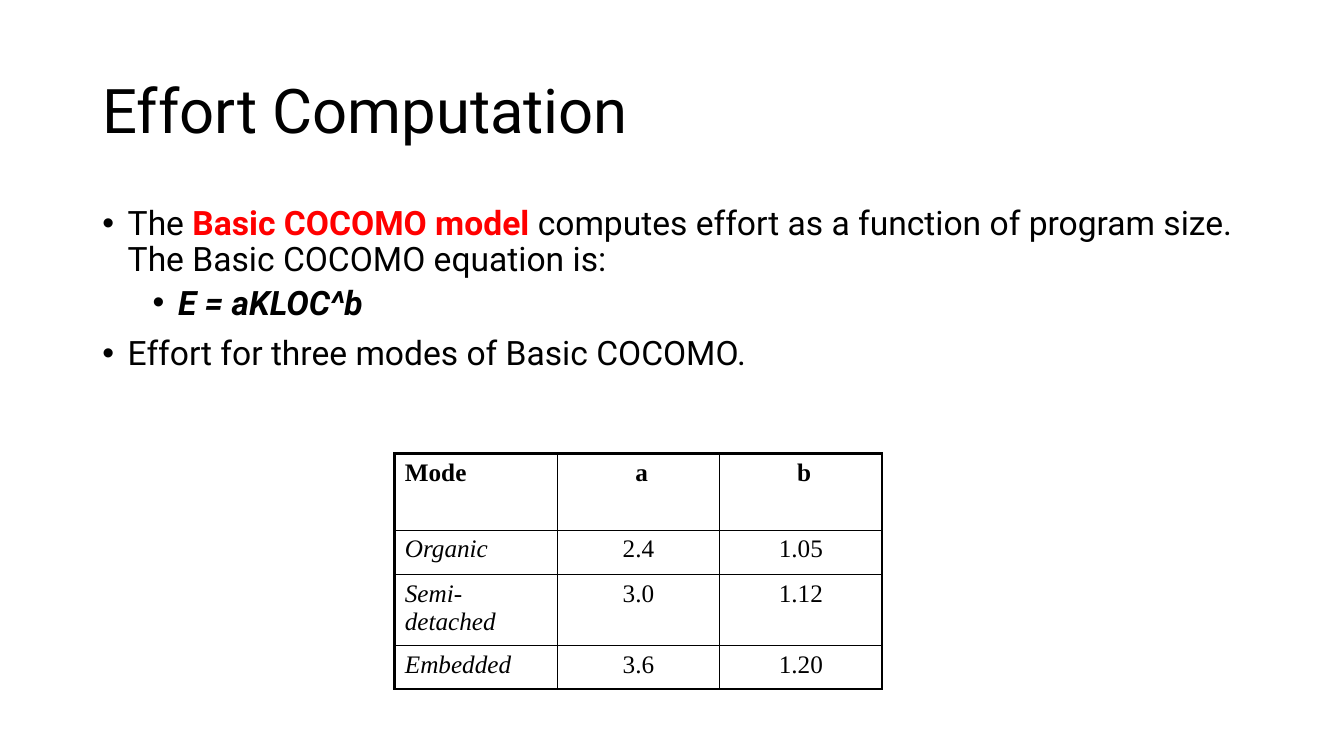
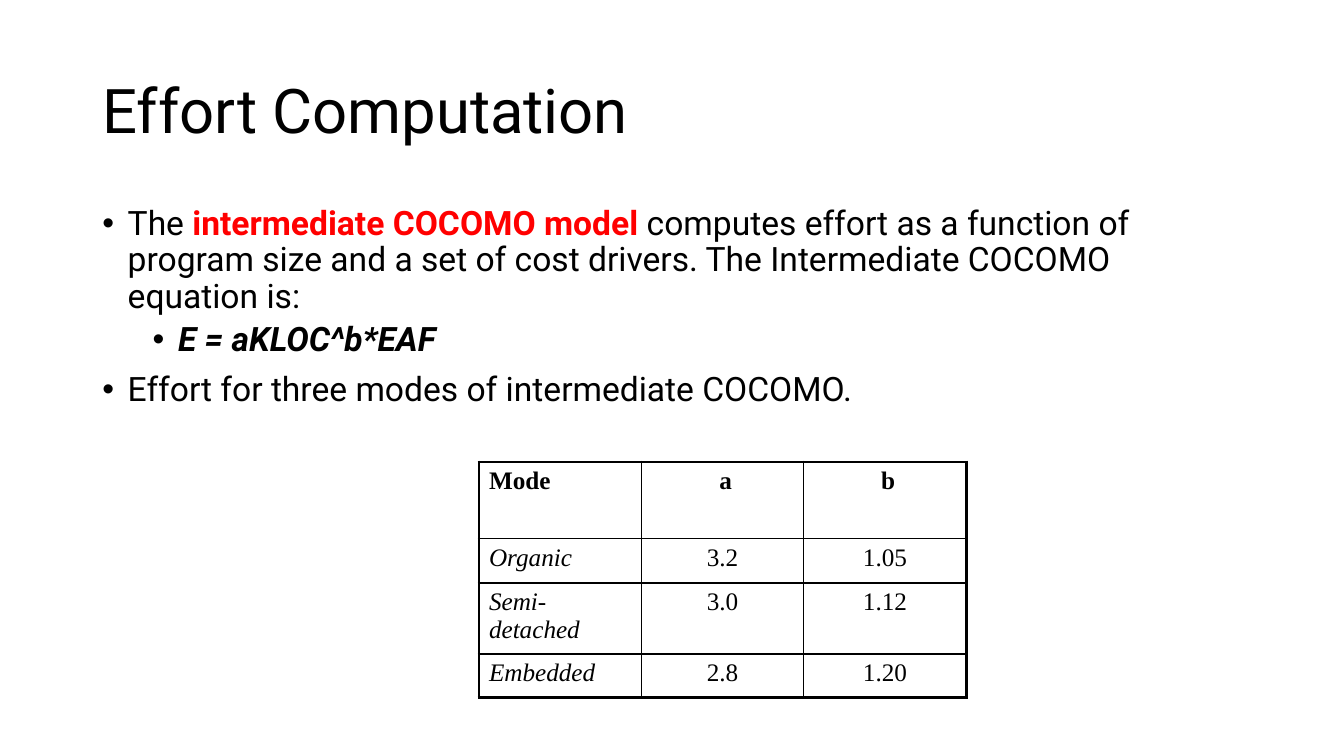
import dataclasses

import lxml.etree
import pptx
import pptx.dml.color
import pptx.enum.text
import pptx.oxml.ns
import pptx.util

Cm = pptx.util.Cm
Pt = pptx.util.Pt
qn = pptx.oxml.ns.qn
PP_ALIGN = pptx.enum.text.PP_ALIGN
MSO_ANCHOR = pptx.enum.text.MSO_ANCHOR


@dataclasses.dataclass(frozen=True)
class Theme:
    ink: str = "000000"
    accent: str = "FF0000"
    font: str = "Roboto"
    table_font: str = "Times New Roman"
    title_size: int = 44
    body_size: int = 24
    table_size: int = 18
    line_spacing: float = 0.9
    thin: float = 1
    thick: float = 2.25


THEME = Theme()

# Boxes as left, top, width, height in centimetres
TITLE_BOX = (2.33, 1.01, 29.21, 3.68)
BODY_BOX = (2.33, 5.08, 29.21, 12.09)
TABLE_WIDTH = 12.28
ROW_HEIGHTS = (1.93, 1.12, 1.79, 1.09)

HANGING = 0.64
LEVEL_STEP = 1.27
LEVEL_SPACE = (10, 5)


def add_text(p, text, size=THEME.body_size, font=THEME.font, color=THEME.ink,
             bold=False, italic=False):
    r = p.add_run()
    r.text = text
    r.font.size = Pt(size)
    r.font.name = font
    r.font.bold = bold
    r.font.italic = italic
    r.font.color.rgb = pptx.dml.color.RGBColor.from_string(color)


def add_box(s, box, anchor=MSO_ANCHOR.TOP):
    tf = s.shapes.add_textbox(*map(Cm, box)).text_frame
    tf.word_wrap = True
    tf.vertical_anchor = anchor
    return tf


def add_title(s, box, text):
    p = add_box(s, box, MSO_ANCHOR.MIDDLE).paragraphs[0]
    p.line_spacing = THEME.line_spacing
    add_text(p, text, size=THEME.title_size)


def set_bullet(p, level):
    pPr = p._p.get_or_add_pPr()
    pPr.set("marL", str(Cm(HANGING + level * LEVEL_STEP)))
    pPr.set("indent", str(-Cm(HANGING)))
    lxml.etree.SubElement(pPr, qn("a:buFont")).set("typeface", "Arial")
    lxml.etree.SubElement(pPr, qn("a:buChar")).set("char", "•")


def add_bullets(s, box, bullets):
    """Each bullet is a level and a list of (text, format) runs."""
    tf = add_box(s, box)
    for i, (level, runs) in enumerate(bullets):
        p = tf.add_paragraph() if i else tf.paragraphs[0]
        set_bullet(p, level)
        p.level = level
        p.line_spacing = THEME.line_spacing
        p.space_before = Pt(LEVEL_SPACE[level] if i else 0)
        for text, style in runs:
            add_text(p, text, **style)


def set_borders(cell, outer):
    """Draw the four cell edges, thick where the edge is in outer."""
    tcPr = cell._tc.get_or_add_tcPr()
    for edge in "LRTB":
        width = THEME.thick if edge in outer else THEME.thin
        ln = lxml.etree.SubElement(tcPr, qn("a:ln" + edge))
        ln.set("w", str(Pt(width)))
        fill = lxml.etree.SubElement(ln, qn("a:solidFill"))
        lxml.etree.SubElement(fill, qn("a:srgbClr")).set("val", THEME.ink)


def add_mode_table(s, left, top, rows):
    n_rows, n_cols = len(rows), len(rows[0])
    table = s.shapes.add_table(n_rows, n_cols, Cm(left), Cm(top),
                               Cm(TABLE_WIDTH), Cm(sum(ROW_HEIGHTS))).table
    table.first_row = table.horz_banding = False
    for row, height in zip(table.rows, ROW_HEIGHTS):
        row.height = Cm(height)
    for i, row in enumerate(rows):
        for j, text in enumerate(row):
            cell = table.cell(i, j)
            sides = {"L": j == 0, "R": j == n_cols - 1,
                     "T": i == 0, "B": i == n_rows - 1}
            set_borders(cell, [edge for edge, on in sides.items() if on])
            cell.fill.background()
            p = cell.text_frame.paragraphs[0]
            p.alignment = PP_ALIGN.CENTER if j else PP_ALIGN.LEFT
            add_text(p, text, size=THEME.table_size, font=THEME.table_font,
                     bold=i == 0, italic=i > 0 and j == 0)


def add_model_slide(prs, model, purpose, equation, closing, table_at, a_values):
    s = prs.slides.add_slide(prs.slide_layouts[6])
    add_title(s, TITLE_BOX, "Effort Computation")
    # Model, its equation and the lead-in to the table
    add_bullets(s, BODY_BOX, [
        (0, [("The ", {}),
             (model, dict(color=THEME.accent, bold=True)),
             (purpose, {})]),
        (1, [(equation, dict(bold=True, italic=True))]),
        (0, [(closing, {})]),
    ])
    # Coefficients for each mode
    modes = ("Organic", "Semi-detached", "Embedded")
    b_values = ("1.05", "1.12", "1.20")
    add_mode_table(s, *table_at,
                   [("Mode", " a", " b"), *zip(modes, a_values, b_values)])


def main():
    prs = pptx.Presentation()
    prs.slide_width, prs.slide_height = Cm(33.87), Cm(19.05)
    add_model_slide(
        prs, "Basic COCOMO model",
        " computes effort as a function of program size. "
        "The Basic COCOMO equation is:",
        "E = aKLOC^b", "Effort for three modes of Basic COCOMO.",
        (9.95, 11.43), ("2.4", "3.0", "3.6"))
    add_model_slide(
        prs, "intermediate COCOMO model",
        " computes effort as a function of program size and a set of cost "
        "drivers. The Intermediate COCOMO equation is:",
        "E = aKLOC^b*EAF", "Effort for three modes of intermediate COCOMO.",
        (12.07, 11.64), ("3.2", "3.0", "2.8"))
    prs.save("out.pptx")


if __name__ == "__main__":
    main()
